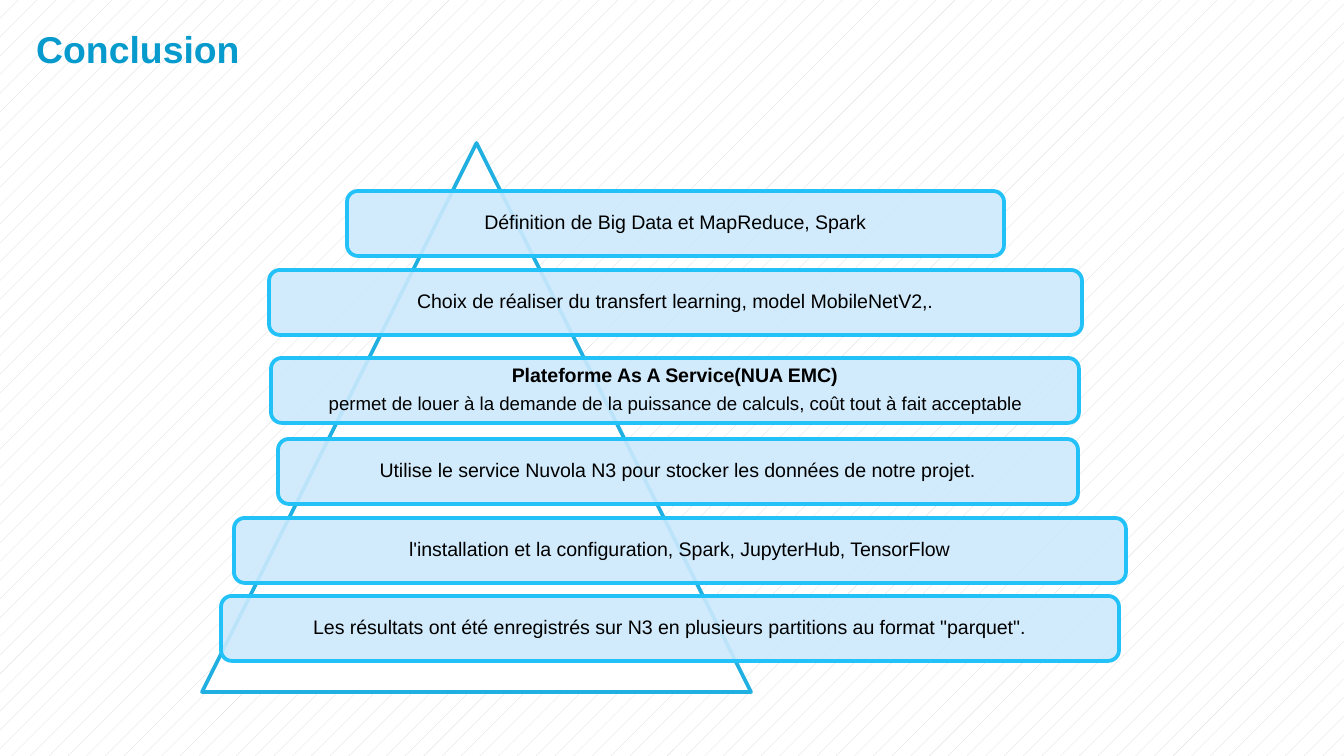
"""Build the conclusion slide: a pyramid outline crossed by six summary cards."""
from dataclasses import dataclass

from lxml.etree import SubElement
from pptx import Presentation
from pptx.dml.color import RGBColor
from pptx.enum.dml import MSO_PATTERN
from pptx.enum.shapes import MSO_SHAPE
from pptx.enum.text import MSO_ANCHOR, PP_ALIGN
from pptx.oxml.ns import qn
from pptx.util import Emu, Pt

EMU_PER_PX = 914400 / 134.4
SLIDE_WIDTH, SLIDE_HEIGHT = 1344, 756
CARD_HEIGHT = 65
FONT = "Arial"
WHITE = RGBColor(0xFF, 0xFF, 0xFF)
BLACK = RGBColor(0x00, 0x00, 0x00)
HATCH_GREY = RGBColor(0xD9, 0xD9, 0xD9)
TITLE_BLUE = RGBColor(0x06, 0x9A, 0xCD)
PYRAMID_BLUE = RGBColor(0x1F, 0xAF, 0xE1)
CARD_FILL = RGBColor(0xCD, 0xE9, 0xFC)
CARD_LINE = RGBColor(0x22, 0xC1, 0xF8)


@dataclass(frozen=True)
class Card:
    left: int
    top: int
    width: int
    text: str
    heading: str = ""


CARDS = (
    Card(347, 191, 657, "Définition de Big Data et MapReduce, Spark"),
    Card(269, 270, 813, "Choix de réaliser du transfert learning, model MobileNetV2,."),
    Card(271, 358, 808,
         "permet de louer à la demande de la puissance de calculs, coût tout à fait acceptable",
         heading="Plateforme As A Service(NUA EMC)"),
    Card(278, 439, 800, "Utilise le service Nuvola N3 pour stocker les données de notre projet."),
    Card(234, 518, 892, "l'installation et la configuration, Spark, JupyterHub, TensorFlow"),
    Card(221, 596, 898,
         "Les résultats ont été enregistrés sur N3 en plusieurs partitions au format \"parquet\"."),
)


def px(length: int) -> Emu:
    """Turn pixels into EMU."""
    return Emu(round(length * EMU_PER_PX))


def write_text(paragraph, text: str, *, size: float, color: RGBColor, bold: bool = False,
               align=PP_ALIGN.LEFT, line_spacing: float = 1.0, before: float = 0) -> None:
    """Write one formatted paragraph."""
    paragraph.text = text
    paragraph.alignment = align
    paragraph.line_spacing = line_spacing
    paragraph.space_before = Pt(before)
    font = paragraph.runs[0].font
    font.name, font.size, font.bold = FONT, Pt(size), bold
    font.color.rgb = color


def add_outlined(slide, kind, left: int, top: int, width: int, height: int,
                 fill: RGBColor, line: RGBColor):
    """Add a filled preset shape with a two-point outline."""
    shape = slide.shapes.add_shape(kind, px(left), px(top), px(width), px(height))
    shape.shadow.inherit = False
    shape.fill.solid()
    shape.fill.fore_color.rgb = fill
    shape.line.color.rgb = line
    shape.line.width = Pt(2)
    return shape


def add_card(slide, card: Card) -> None:
    """Add a translucent rounded card with an optional bold heading."""
    shape = add_outlined(slide, MSO_SHAPE.ROUNDED_RECTANGLE, card.left, card.top,
                         card.width, CARD_HEIGHT, CARD_FILL, CARD_LINE)
    color = shape.fill._xPr.find(qn("a:solidFill"))[0]
    SubElement(color, qn("a:alpha"), val="90000")
    frame = shape.text_frame
    frame.word_wrap = True
    frame.vertical_anchor = MSO_ANCHOR.MIDDLE
    frame.margin_left = frame.margin_right = px(9)
    frame.margin_top = frame.margin_bottom = px(6)
    style = {"color": BLACK, "align": PP_ALIGN.CENTER, "line_spacing": 0.9}
    paragraph = frame.paragraphs[0]
    if card.heading:
        write_text(paragraph, card.heading, size=10.5, bold=True, **style)
        write_text(frame.add_paragraph(), card.text, size=10, before=4, **style)
    else:
        write_text(paragraph, card.text, size=10.5, **style)


def add_title(slide, text: str) -> None:
    """Add the slide title."""
    box = slide.shapes.add_textbox(px(23), px(20), px(280), px(59))
    box.text_frame.word_wrap = True
    write_text(box.text_frame.paragraphs[0], text, size=20, color=TITLE_BLUE, bold=True)


def main() -> None:
    """Build and save the presentation."""
    presentation = Presentation()
    presentation.slide_width, presentation.slide_height = px(SLIDE_WIDTH), px(SLIDE_HEIGHT)
    slide = presentation.slides.add_slide(presentation.slide_layouts[6])
    background = slide.background.fill
    background.patterned()
    background.pattern = MSO_PATTERN.PERCENT_5
    background.fore_color.rgb = HATCH_GREY
    background.back_color.rgb = WHITE
    add_title(slide, "Conclusion")
    add_outlined(slide, MSO_SHAPE.ISOSCELES_TRIANGLE, 202, 143, 549, 549, WHITE, PYRAMID_BLUE)
    for card in CARDS:
        add_card(slide, card)
    presentation.save("out.pptx")


if __name__ == "__main__":
    main()
